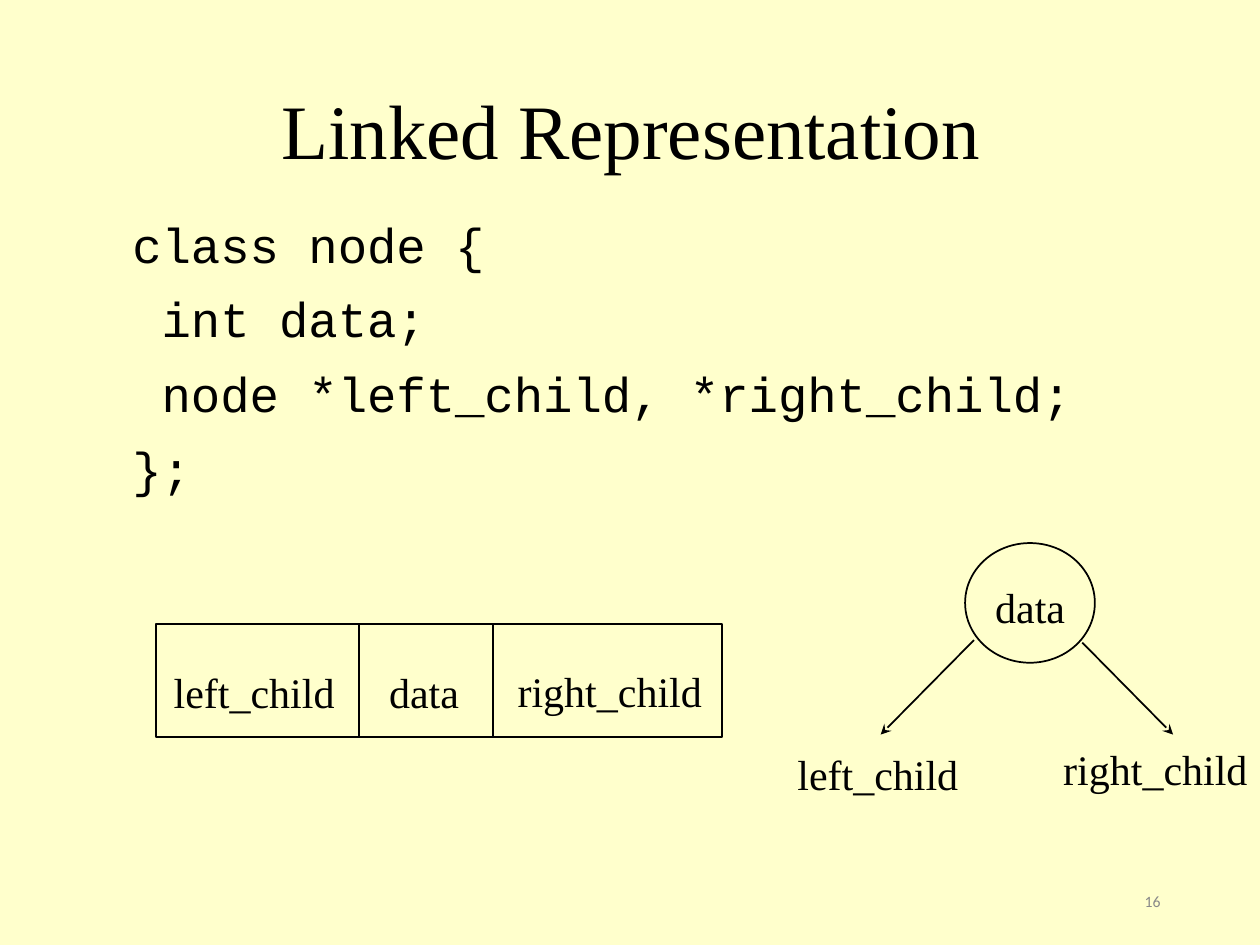
from pptx import Presentation
from pptx.dml.color import RGBColor
from pptx.enum import shapes, text
from pptx.oxml.ns import qn
from pptx.util import Inches, Pt
from lxml import etree

BLACK = RGBColor(0, 0, 0)
GREY = RGBColor(0x89, 0x89, 0x89)
CREAM = RGBColor(0xFF, 0xFF, 0xCC)
SERIF, MONO, SANS = "Times New Roman", "Courier New", "Calibri"

TITLE = "Linked Representation"
CODE = [
    "class node {",
    " int data;",
    " node *left_child, *right_child;",
    "};",
]
NUMBER = "16"

# Width of each field label
WIDTHS = {"left_child": 1.48, "data": 0.76, "right_child": 1.66}
# Label, left, top
LABELS = [
    ("left_child", 1.28, 5.24),
    ("data", 2.99, 5.24),
    ("right_child", 4.01, 5.23),
    ("data", 7.8, 4.57),
    ("left_child", 6.23, 5.89),
    ("right_child", 8.34, 5.85),
]
RECORD = (1.24, 4.95, 4.49, 0.9)
SPLITS = [2.85, 3.91]
CIRCLE = (7.66, 4.31, 1.03, 0.95)
ARROWS = [(7.73, 5.08, 6.99, 5.83), (8.59, 5.1, 9.31, 5.83)]


def place(shape, box):
    for name, val in zip(("left", "top", "width", "height"), box):
        setattr(shape, name, Inches(val))


def write(shape, lines, face, size, color=BLACK, gap=0, **frame):
    body = shape.text_frame
    style = {"word_wrap": True, "auto_size": text.MSO_AUTO_SIZE.NONE,
             "vertical_anchor": text.MSO_ANCHOR.TOP, **frame}
    for name, val in style.items():
        setattr(body, name, val)
    body.text = "\n".join(lines)
    for i, para in enumerate(body.paragraphs):
        para.space_before = Pt(gap if i else 0)
        for run in para.runs:
            run.font.name, run.font.size = face, Pt(size)
            run.font.color.rgb = color
    return body


def outline(slide, kind, box):
    shape = slide.shapes.add_shape(kind, *map(Inches, box))
    shape.shadow.inherit = False
    shape.fill.background()
    shape.line.color.rgb, shape.line.width = BLACK, Pt(1)


def link(slide, ends, arrow=False):
    line = slide.shapes.add_connector(
        shapes.MSO_CONNECTOR.STRAIGHT, *map(Inches, ends))
    line.line.color.rgb, line.line.width = BLACK, Pt(1)
    if arrow:
        etree.SubElement(line.line._get_or_add_ln(), qn("a:tailEnd"),
                         type="stealth")
    etree.SubElement(line._element.spPr, qn("a:effectLst"))


def main():
    deck = Presentation()
    deck.slide_width, deck.slide_height = Inches(10), Inches(7.5)
    slide = deck.slides.add_slide(deck.slide_layouts[1])
    slide.background.fill.solid()
    slide.background.fill.fore_color.rgb = CREAM

    title, code = slide.placeholders
    place(title, (0, 0.4, 10.02, 1.25))
    write(title, [TITLE], SERIF, 44, vertical_anchor=text.MSO_ANCHOR.MIDDLE)

    place(code, (0.94, 1.54, 8.55, 2.61))
    body = write(code, CODE, MONO, 28, gap=9, margin_top=Inches(0.16))
    for para in body.paragraphs:
        props = para._p.get_or_add_pPr()
        props.set("marL", str(Inches(0.38)))
        props.set("indent", str(Inches(-0.37)))
        etree.SubElement(props, qn("a:buNone"))

    outline(slide, shapes.MSO_SHAPE.RECTANGLE, RECORD)
    top, high = RECORD[1], RECORD[3]
    for x in SPLITS:
        link(slide, (x, top, x, top + high))
    outline(slide, shapes.MSO_SHAPE.OVAL, CIRCLE)
    for ends in ARROWS:
        link(slide, ends, arrow=True)

    for label, left, y in LABELS:
        box = slide.shapes.add_textbox(
            *map(Inches, (left, y, WIDTHS[label], 0.5)))
        write(box, [label], SERIF, 24, word_wrap=False,
              auto_size=text.MSO_AUTO_SIZE.SHAPE_TO_FIT_TEXT)

    page = slide.shapes.add_textbox(*map(Inches, (7.06, 6.95, 2.25, 0.4)))
    body = write(page, [NUMBER], SANS, 9, GREY,
                 vertical_anchor=text.MSO_ANCHOR.MIDDLE)
    body.paragraphs[0].alignment = text.PP_ALIGN.RIGHT

    deck.save("out.pptx")


if __name__ == "__main__":
    main()
